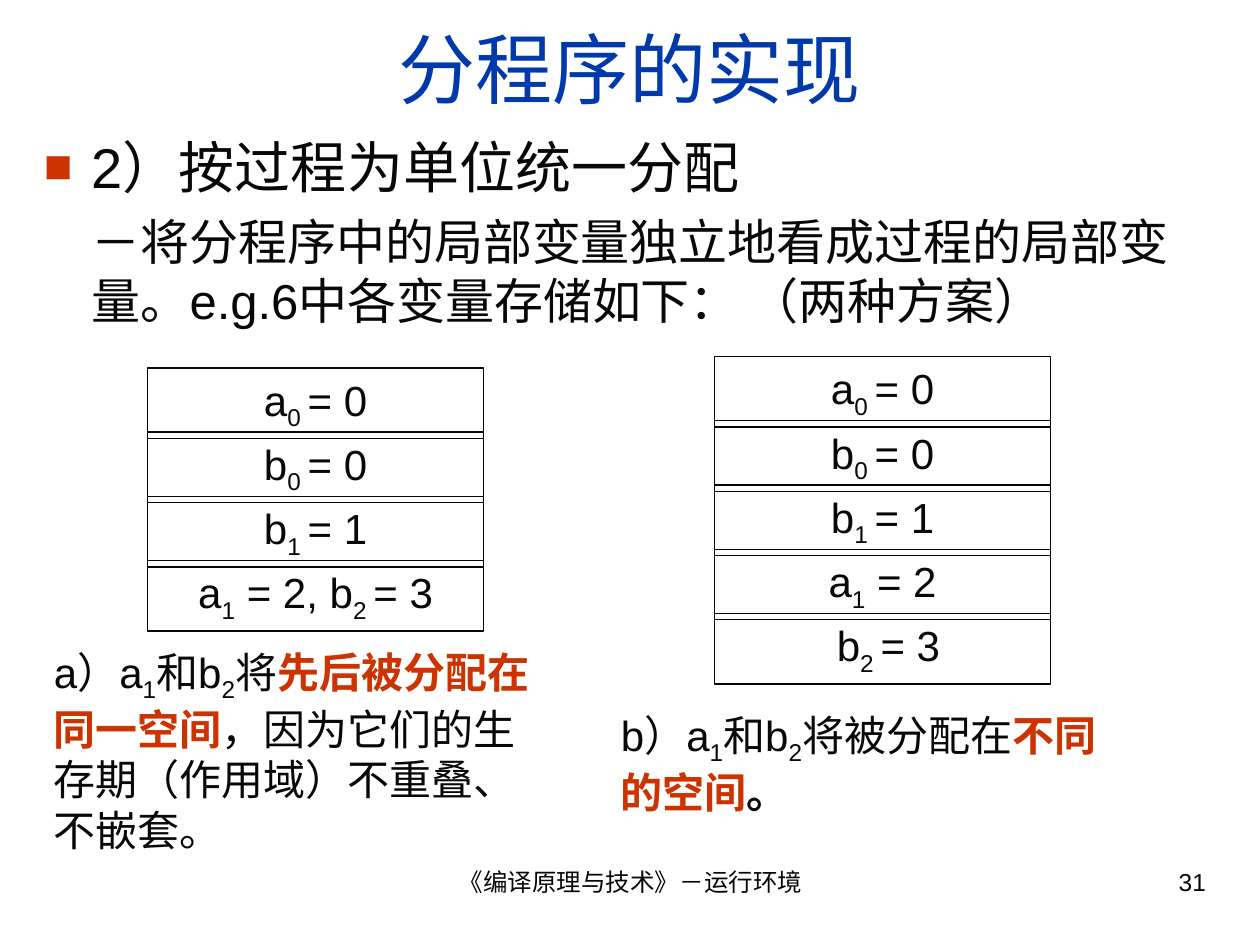
"""Build the slide on storage allocation for nested blocks."""
from lxml import etree
from pptx import Presentation
from pptx.dml.color import RGBColor
from pptx.enum import shapes, text
from pptx.oxml import ns
from pptx.util import Inches, Pt

INK = RGBColor(0x08, 0x08, 0x08)
BLUE = RGBColor(0x00, 0x39, 0xAC)
RED = RGBColor(0xCC, 0x33, 0x00)
LEFT, CENTER, RIGHT = text.PP_ALIGN.LEFT, text.PP_ALIGN.CENTER, text.PP_ALIGN.RIGHT
PLAIN, SUB, KEY, BOLD = "plain", "sub", "key", "bold"


def write(paragraph, runs, size, align=LEFT, before=0, color=INK):
    paragraph.alignment = align
    paragraph.space_before = Pt(before)
    for words, style in runs:
        run = paragraph.add_run()
        run.text = words
        run.font.name = "Arial"
        run.font.size = Pt(size)
        run.font.bold = style in (KEY, BOLD)
        run.font.color.rgb = RED if style == KEY else color
        if style == SUB:
            run.font._element.set("baseline", "-25000")


def add_frame(left, top, width, height):
    frame = slide.shapes.add_textbox(
        Inches(left), Inches(top), Inches(width), Inches(height)).text_frame
    frame.word_wrap = True
    return frame


deck = Presentation()
deck.slide_width, deck.slide_height = Inches(10), Inches(7.5)
slide = deck.slides.add_slide(deck.slide_layouts[6])

footer = add_frame(3.42, 6.83, 3.17, 0.52)
write(footer.paragraphs[0], [("《编译原理与技术》－运行环境", PLAIN)], 14, CENTER)
page_number = add_frame(7.17, 6.83, 2.5, 0.52)
write(page_number.paragraphs[0], [("31", PLAIN)], 14, RIGHT)

title = add_frame(0.33, 0.08, 9.34, 0.92)
title.vertical_anchor = text.MSO_ANCHOR.MIDDLE
write(title.paragraphs[0], [("分程序的实现", PLAIN)], 44, CENTER, color=BLUE)

body = add_frame(0.25, 1, 9.34, 1.83)
heading, detail = body.paragraphs[0], body.add_paragraph()
write(heading, [("2）按过程为单位统一分配", PLAIN)], 32, before=8)
write(detail, [("－将分程序中的局部变量独立地看成过程的局部变量。"
                "e.g.6中各变量存储如下： （两种方案）", PLAIN)], 28, before=7)
for paragraph, indent in ((heading, -0.38), (detail, 0)):
    properties = paragraph._p.get_or_add_pPr()
    properties.set("marL", str(Inches(0.38)))
    properties.set("indent", str(Inches(indent)))
bullet = heading._p.get_or_add_pPr()
bullet_color = etree.SubElement(bullet, ns.qn("a:buClr"))
etree.SubElement(bullet_color, ns.qn("a:srgbClr")).set("val", str(RED))
etree.SubElement(bullet, ns.qn("a:buSzPct")).set("val", "85000")
etree.SubElement(bullet, ns.qn("a:buFont")).set("typeface", "Arial")
etree.SubElement(bullet, ns.qn("a:buChar")).set("char", "■")

common_cells = [
    [("a", PLAIN), ("0 ", SUB), ("= 0", PLAIN)],
    [("b", PLAIN), ("0 ", SUB), ("= 0", PLAIN)],
    [("b", PLAIN), ("1 ", SUB), ("= 1", PLAIN)],
]
shared_cells = common_cells + [
    [("a", PLAIN), ("1", SUB), (" = 2, b", PLAIN), ("2 ", SUB), ("= 3", PLAIN)],
]
separate_cells = common_cells + [
    [("a", PLAIN), ("1", SUB), (" = 2", PLAIN)],
    [(" b", PLAIN), ("2 ", SUB), ("= 3", PLAIN)],
]
for left, top, cells in ((1.17, 2.92, shared_cells), (5.67, 2.83, separate_cells)):
    for row, runs in enumerate(cells):
        cell = slide.shapes.add_shape(
            shapes.MSO_SHAPE.RECTANGLE, Inches(left), Inches(top + 0.51 * row),
            Inches(2.67), Inches(0.56))
        cell.shadow.inherit = False
        cell.fill.background()
        cell.line.color.rgb = INK
        cell.line.width = Pt(0.75)
        cell.text_frame.vertical_anchor = text.MSO_ANCHOR.TOP
        write(cell.text_frame.paragraphs[0], runs, 24, CENTER, 15)

variables = [("1", SUB), ("和b", PLAIN), ("2", SUB)]
shared_note = add_frame(0.33, 5.08, 4.17, 1.76)
write(shared_note.paragraphs[0], [
    ("a）a", PLAIN), *variables, ("将", PLAIN), ("先后被分配在同一空间", KEY),
    ("，因为它们的生存期（作用域）不重叠、不嵌套。", PLAIN)], 24, before=11.2)
separate_note = add_frame(4.83, 5.58, 4.17, 0.96)
write(separate_note.paragraphs[0], [
    ("b）a", PLAIN), *variables, ("将被分配在", PLAIN), ("不同的空间", KEY),
    ("。", BOLD)], 24, before=15)

deck.save("out.pptx")
